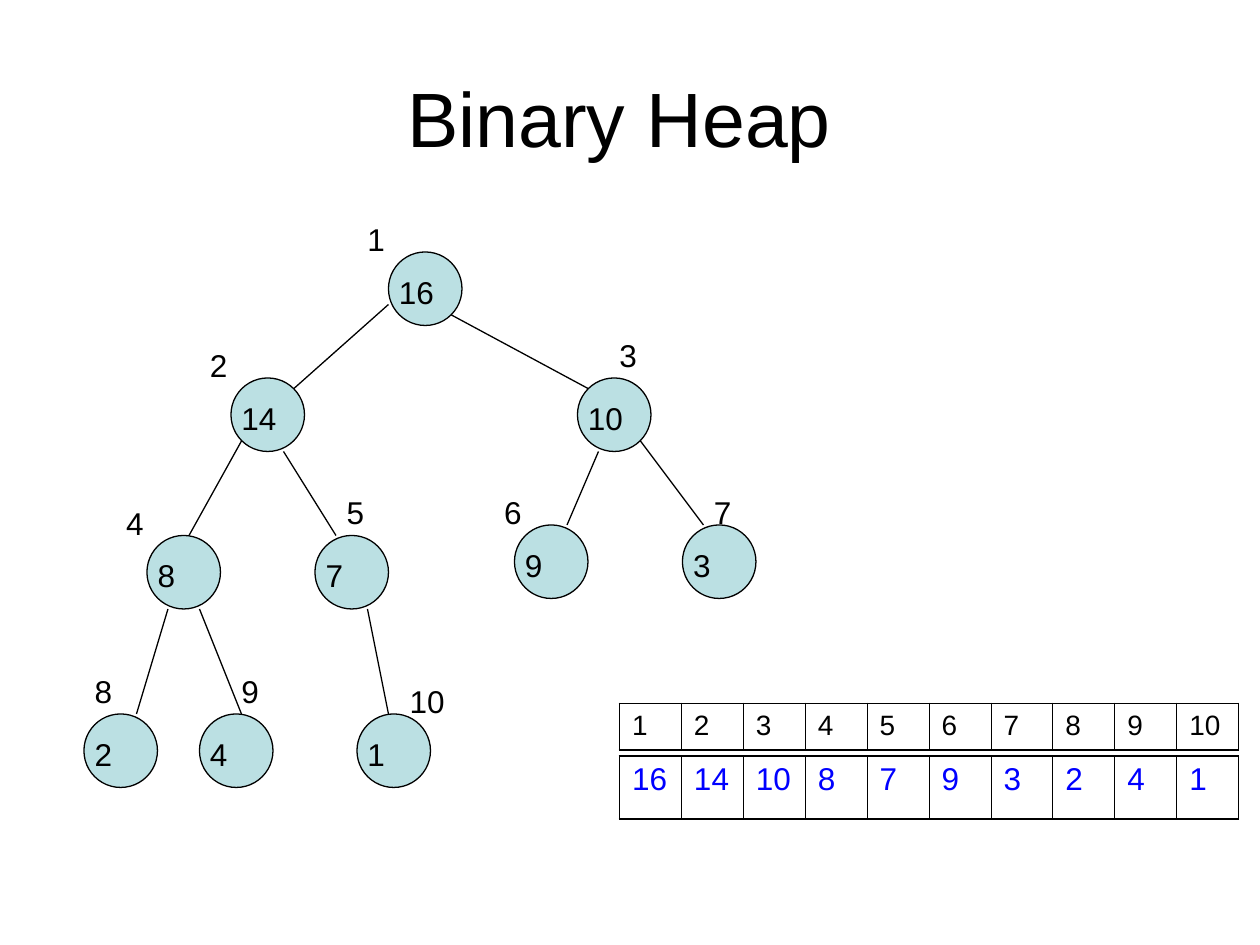
from collections import namedtuple
from dataclasses import dataclass

from lxml.etree import SubElement
from pptx import Presentation
from pptx.dml.color import RGBColor as RGB
from pptx.enum.shapes import MSO_CONNECTOR as CONN, MSO_SHAPE as SHAPE
from pptx.enum.text import MSO_ANCHOR as ANCHOR, PP_ALIGN as ALIGN
from pptx.oxml.ns import qn
from pptx.util import Pt


@dataclass(frozen=True)
class Theme:
    font: str = "Arial"
    ink: RGB = RGB(0, 0, 0)
    value: RGB = RGB(0, 0, 255)
    node: RGB = RGB(0xBB, 0xE0, 0xE3)
    title_size: float = 44
    body_size: float = 18
    index_size: float = 16
    line: float = 0.75
    outer_border: float = 1.08
    inner_border: float = 0.45


THEME = Theme()
Box = namedtuple("Box", "x y w h")
Node = namedtuple("Node", "pos label start end")

HEAP = [16, 14, 10, 8, 7, 9, 3, 2, 4, 1]
NODE_SIZE = 42
LABEL_W, LABEL_H = 24, 21.6

# Per node: place in the tree, label offset from the node, and the edge's
# start (offset from the parent) and end (offset from the node)
NODES = [
    Node((174, 18), (-12, -18), None, None),
    Node((84, 90), (-12, -18), (0, 30), (36, 6)),
    Node((282, 90), (24, -24), (36, 36), (6, 6)),
    Node((36, 180), (-12, -18), (6, 36), (24, 0)),
    Node((132, 180), (18, -24), (30, 42), (12, 0)),
    Node((246, 174), (-6, -18), (12, 42), (30, 0)),
    Node((342, 174), (18, -18), (36, 36), (12, 0)),
    Node((0, 282), (6, -24), (12, 42), (30, 0)),
    Node((66, 282), (24, -24), (30, 42), (24, 0)),
    Node((156, 282), (30, -18), (30, 42), (18, 0)),
]


def write(tf, text, size=THEME.body_size, color=THEME.ink, align=ALIGN.LEFT):
    p = tf.paragraphs[0]
    p.alignment = align
    r = p.add_run()
    r.text = str(text)
    r.font.name = THEME.font
    r.font.size = Pt(size)
    r.font.color.rgb = color


def add_label(shapes, x, y, text):
    tf = shapes.add_textbox(Pt(x), Pt(y), Pt(LABEL_W), Pt(LABEL_H)).text_frame
    tf.word_wrap = True
    tf.margin_left = tf.margin_right = tf.margin_top = tf.margin_bottom = 0
    write(tf, text)


def add_node(s, x, y, value):
    group = s.shapes.add_group_shape()
    sp = group.shapes.add_shape(SHAPE.OVAL, Pt(x), Pt(y), Pt(NODE_SIZE), Pt(NODE_SIZE))
    sp.shadow.inherit = False
    sp.fill.solid()
    sp.fill.fore_color.rgb = THEME.node
    sp.line.color.rgb = THEME.ink
    sp.line.width = Pt(THEME.line)
    add_label(group.shapes, x + 6, y + 12, value)


def add_edge(s, x1, y1, x2, y2):
    line = s.shapes.add_connector(CONN.STRAIGHT, Pt(x1), Pt(y1), Pt(x2), Pt(y2))
    line.line.color.rgb = THEME.ink
    line.line.width = Pt(THEME.line)
    SubElement(line._element.spPr, qn("a:effectLst"))


def set_borders(cell, widths):
    tcPr = cell._tc.get_or_add_tcPr()
    for side, width in widths.items():
        ln = SubElement(tcPr, qn(f"a:ln{side}"), w=str(int(Pt(width))))
        SubElement(SubElement(ln, qn("a:solidFill")), qn("a:srgbClr"), val=str(THEME.ink))


def add_title(s, box, text):
    title = s.shapes.title
    title.left, title.top, title.width, title.height = map(Pt, box)
    title.text_frame.vertical_anchor = ANCHOR.MIDDLE
    write(title.text_frame, text, size=THEME.title_size, align=ALIGN.CENTER)


def add_tree(s, box):
    places = [(box.x + n.pos[0], box.y + n.pos[1]) for n in NODES]
    for (x, y), value in zip(places, HEAP):
        add_node(s, x, y, value)
    # Node i hangs from node i // 2
    for i, node in enumerate(NODES[1:], start=2):
        (px, py), (x, y) = places[i // 2 - 1], places[i - 1]
        add_edge(s, px + node.start[0], py + node.start[1], x + node.end[0], y + node.end[1])
    # Array index beside each node
    for i, ((x, y), node) in enumerate(zip(places, NODES), start=1):
        add_label(s.shapes, x + node.label[0], y + node.label[1], i)


def add_array_row(s, box, values, **text_format):
    table = s.shapes.add_table(1, len(values), *map(Pt, box)).table
    table.first_row = table.horz_banding = False
    last = len(values) - 1
    outer, inner = THEME.outer_border, THEME.inner_border
    for i, value in enumerate(values):
        table.columns[i].width = Pt(box.w / len(values))
        cell = table.cell(0, i)
        set_borders(cell, {"L": outer if i == 0 else inner,
                           "R": outer if i == last else inner,
                           "T": outer, "B": outer})
        cell.fill.background()
        write(cell.text_frame, value, **text_format)


def main():
    prs = Presentation()
    prs.slide_width, prs.slide_height = Pt(720), Pt(540)
    s = prs.slides.add_slide(prs.slide_layouts[5])
    add_title(s, Box(36, 21.6, 648, 90), "Binary Heap ")
    add_tree(s, Box(48, 126, 384, 324))
    # Array: indices above, heap values below
    add_array_row(s, Box(354, 402, 354, 26.6), range(1, len(HEAP) + 1), size=THEME.index_size)
    add_array_row(s, Box(354, 432, 354, 36), HEAP, color=THEME.value)
    prs.save("out.pptx")


if __name__ == "__main__":
    main()
